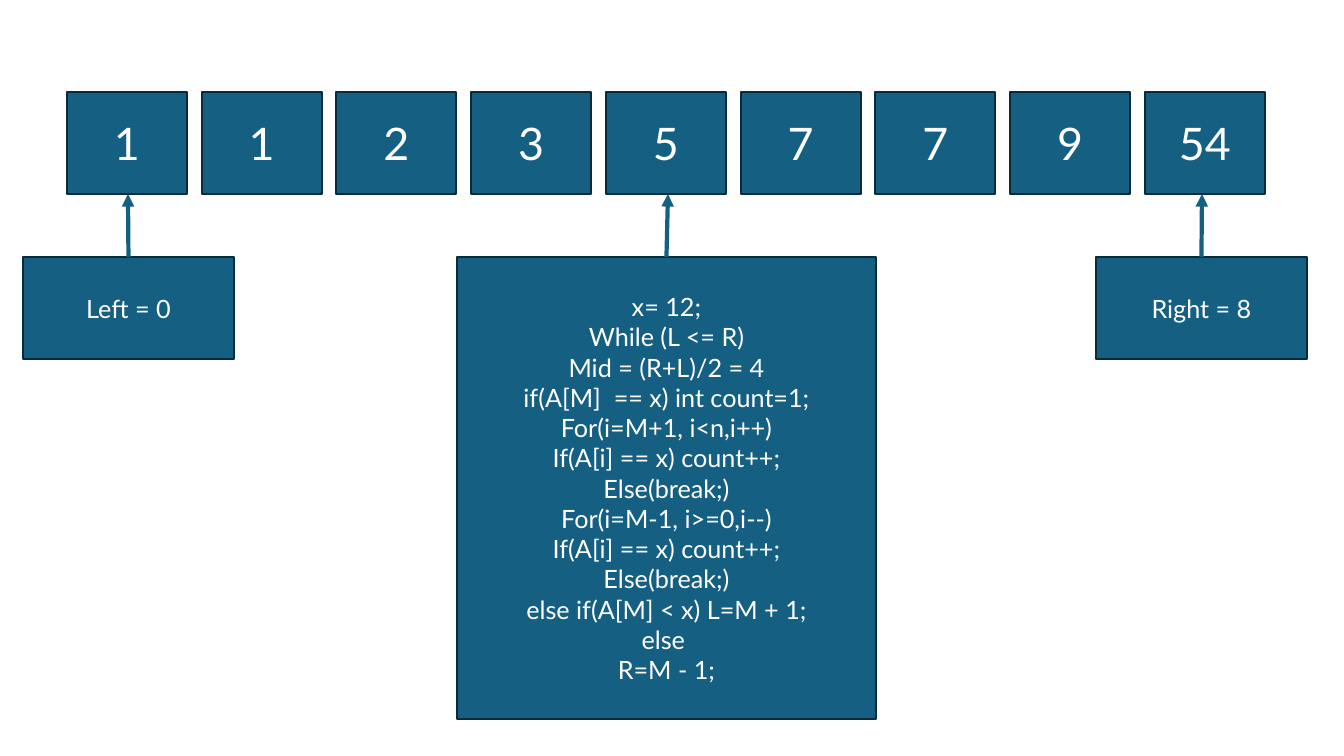
from pptx import Presentation
from pptx.dml.color import RGBColor as RGB
from pptx.enum.shapes import MSO_CONNECTOR as LINK, MSO_SHAPE as SHAPE
from pptx.enum.text import MSO_ANCHOR as ANCHOR, PP_ALIGN as ALIGN
from pptx.oxml.ns import qn
from pptx.util import Emu, Pt
from lxml import etree

# Content
VALUES = ["1", "1", "2", "3", "5", "7", "7", "9", "54"]
SEARCH_CODE = [
    "x= 12;",
    "While (L <= R)",
    "Mid = (R+L)/2 = 4\nif(A[M]  == x) int count=1;",
    "For(i=M+1, i<n,i++)",
    "If(A[i] == x) count++;",
    "Else(break;)",
    "For(i=M-1, i>=0,i--)",
    "If(A[i] == x) count++;",
    "Else(break;)\nelse if(A[M] < x) L=M + 1;\nelse \nR=M - 1;",
]
# Lines, left, width, height and arrow tip x, in px
POINTERS = [
    (["Left = 0"], 23, 211, 102, 128),
    (["Right = 8"], 1096, 211, 102, 1202),
    (SEARCH_CODE, 457, 419, 462, 668),
]

# Format, lengths in px
COLORS = {"fill": "156082", "border": "092A39", "text": "FFFFFF"}
FONT = "Lato"
SLIDE_W, SLIDE_H = 1344, 756
FIRST_LEFT, LAST_LEFT = 67, 1145
CELL_TOP, CELL_W, CELL_H = 92, 120, 102
POINTER_TOP = 257


def px(length):
    return Emu(round(length * 914400 / 100.8))


def color(name):
    return RGB.from_string(COLORS[name])


def add_box(slide, lines, left, top, width, height, size):
    box = slide.shapes.add_shape(SHAPE.RECTANGLE, *map(px, (left, top, width, height)))
    box.shadow.inherit = False
    box.fill.solid()
    box.fill.fore_color.rgb = color("fill")
    box.line.color.rgb = color("border")
    box.line.width = Pt(1.5)
    frame = box.text_frame
    frame.word_wrap = True
    frame.vertical_anchor = ANCHOR.MIDDLE
    for number, line in enumerate(lines):
        paragraph = frame.add_paragraph() if number else frame.paragraphs[0]
        paragraph.text = line
        paragraph.alignment = ALIGN.CENTER
        for run in paragraph.runs:
            for attribute, value in {"name": FONT, "size": Pt(size)}.items():
                setattr(run.font, attribute, value)
            run.font.color.rgb = color("text")
    return box


def add_arrow(slide, pointer, tip_x):
    tip = px(tip_x), px(CELL_TOP + CELL_H)
    arrow = slide.shapes.add_connector(LINK.STRAIGHT, px(tip_x), px(POINTER_TOP), *tip)
    arrow.begin_connect(pointer, 0)
    arrow.line.color.rgb = color("fill")
    arrow.line.width = Pt(3)
    properties = arrow._element.spPr
    etree.SubElement(properties.find(qn("a:ln")), qn("a:tailEnd"), type="triangle")
    etree.SubElement(properties, qn("a:effectLst"))


def main():
    deck = Presentation()
    deck.slide_width, deck.slide_height = px(SLIDE_W), px(SLIDE_H)
    slide = deck.slides.add_slide(deck.slide_layouts[6])

    # Array cells, evenly spread
    pitch = (LAST_LEFT - FIRST_LEFT) / (len(VALUES) - 1)
    for index, value in enumerate(VALUES):
        add_box(slide, [value], FIRST_LEFT + index * pitch, CELL_TOP, CELL_W, CELL_H, 32)

    # Pointer boxes with arrows up to the cells
    for lines, left, width, height, tip_x in POINTERS:
        pointer = add_box(slide, lines, left, POINTER_TOP, width, height, 18)
        add_arrow(slide, pointer, tip_x)

    deck.save("out.pptx")


if __name__ == "__main__":
    main()
